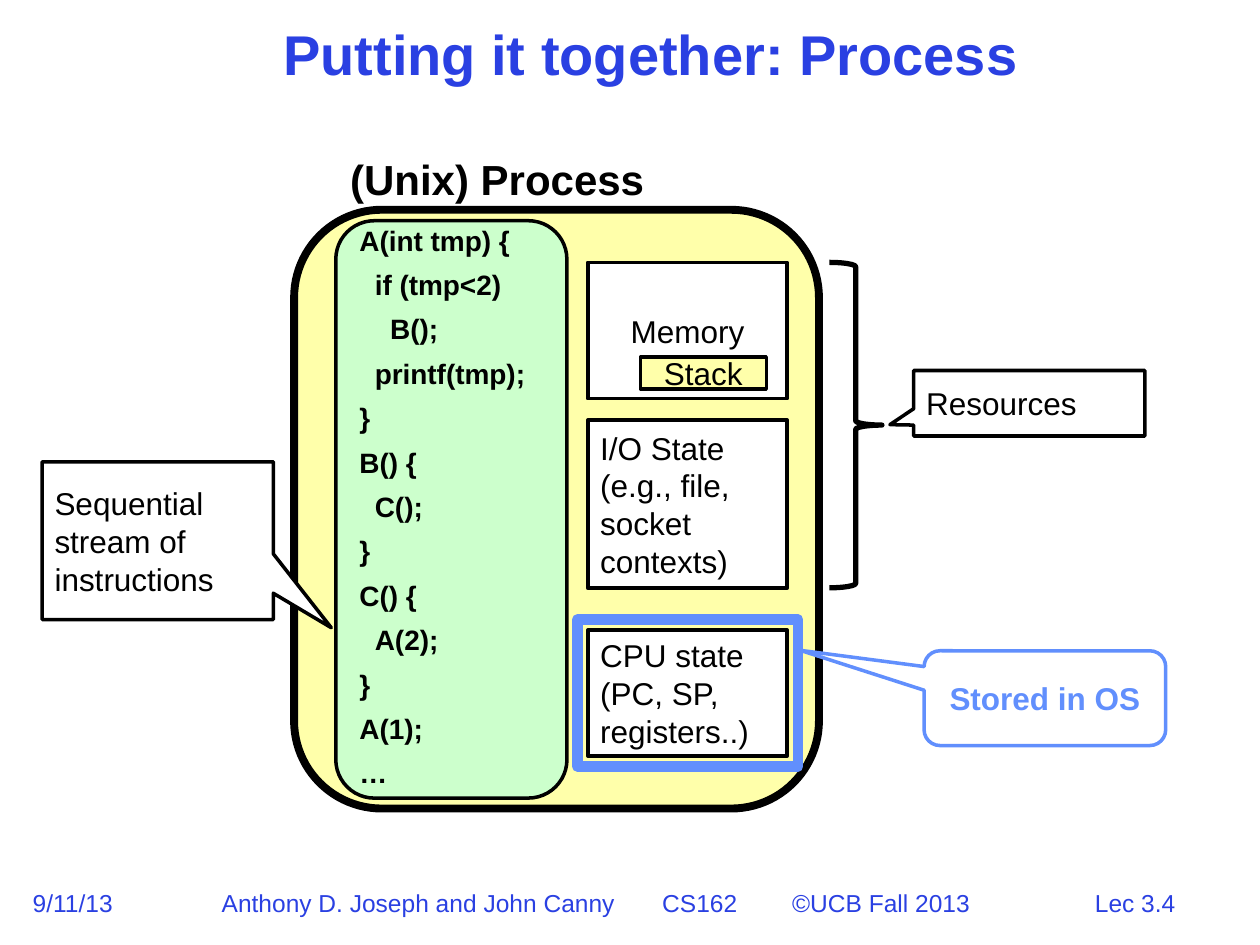
import dataclasses

import lxml.etree
import pptx
import pptx.dml.color
import pptx.enum.shapes
import pptx.enum.text
import pptx.oxml.ns
import pptx.util

Cm, Pt = pptx.util.Cm, pptx.util.Pt
Shape = pptx.enum.shapes.MSO_SHAPE
Align = pptx.enum.text.PP_ALIGN
Anchor = pptx.enum.text.MSO_ANCHOR
rgb = pptx.dml.color.RGBColor.from_string


@dataclasses.dataclass(frozen=True)
class Theme:
    font: str = "Arial"
    heading: str = "2A40E2"
    ink: str = "000000"
    paper: str = "FFFFFF"
    memory: str = "FFFFAA"
    code: str = "CCFFCC"
    kernel: str = "618FFD"
    title_size: int = 32
    subtitle_size: int = 24
    body_size: int = 18
    code_size: int = 16
    footer_size: int = 14


theme = Theme()


def write(frame, lines, size, color=theme.ink, bold=False, align=Align.LEFT):
    """Fill the frame with one formatted paragraph per line."""
    frame.margin_left = frame.margin_right = Cm(0.25)
    frame.margin_top = frame.margin_bottom = Cm(0.13)
    for number, line in enumerate(lines):
        paragraph = frame.add_paragraph() if number else frame.paragraphs[0]
        paragraph.alignment = align
        run = paragraph.add_run()
        run.text = line
        run.font.name = theme.font
        run.font.size = Pt(size)
        run.font.bold = bold
        run.font.color.rgb = rgb(color)


def draw(kind, at, fill=theme.paper, line=theme.ink, width=2, adjust=()):
    """Add a preset shape; at is left, top, width, height in centimetres."""
    shape = slide.shapes.add_shape(kind, *map(Cm, at))
    shape.shadow.inherit = False
    if fill:
        shape.fill.solid()
        shape.fill.fore_color.rgb = rgb(fill)
    else:
        shape.fill.background()
    shape.line.color.rgb = rgb(line)
    shape.line.width = Pt(width)
    for index, value in enumerate(adjust):
        shape.adjustments[index] = value
    shape.text_frame.word_wrap = True
    shape.text_frame.vertical_anchor = Anchor.MIDDLE
    return shape


deck = pptx.Presentation()
deck.slide_width, deck.slide_height = Cm(25.4), Cm(19.05)
slide = deck.slides.add_slide(deck.slide_layouts[5])

# Title
title = slide.shapes.title
title.left, title.top, title.width, title.height = Cm(1.27), Cm(0.43), Cm(23.7), Cm(1.47)
title.text_frame.vertical_anchor = Anchor.MIDDLE
write(title.text_frame, ["Putting it together: Process"], theme.title_size,
      theme.heading, True, Align.CENTER)
title.text_frame.paragraphs[0].line_spacing = 0.9

# Process and its resources
draw(Shape.ROUNDED_RECTANGLE, (5.93, 4.23, 10.58, 12.07), theme.memory,
     width=4.5, adjust=[0.167])
resources = [
    (5.29, 2.75, ["Memory"], Align.CENTER),
    (8.47, 3.39, ["I/O State", "(e.g., file, socket contexts)"], Align.LEFT),
    (12.7, 2.54, ["CPU state (PC, SP, registers..)"], Align.LEFT),
]
for top, height, lines, align in resources:
    resource = draw(Shape.RECTANGLE, (11.85, top, 4.02, height))
    write(resource.text_frame, lines, theme.body_size, align=align)

instructions = draw(Shape.RECTANGULAR_CALLOUT, (0.85, 9.31, 4.66, 3.18),
                    adjust=[0.751, 0.552])
write(instructions.text_frame, ["Sequential stream of instructions"], theme.body_size)

# Program code, with its nesting depth
code_lines = [
    (0, "A(int tmp) {"), (1, "if (tmp<2)"), (2, "B();"), (1, "printf(tmp);"), (0, "}"),
    (0, "B() {"), (1, "C();"), (0, "}"),
    (0, "C() {"), (1, "A(2);"), (0, "}"),
    (0, "A(1);"), (0, "…"),
]
code = draw(Shape.ROUNDED_RECTANGLE, (6.77, 4.45, 4.66, 11.64), theme.code, adjust=[0.167])
write(code.text_frame, [text for _, text in code_lines], theme.code_size, bold=True)
for paragraph, (depth, _) in zip(code.text_frame.paragraphs, code_lines):
    paragraph.line_spacing = 0.8
    paragraph.space_before = Pt(10)
    paragraph._p.get_or_add_pPr().set("marL", str(Cm(0.31 * depth)))

process_label = slide.shapes.add_textbox(Cm(6.81), Cm(2.97), Cm(6.43), Cm(1.27))
process_label.text_frame.word_wrap = False
write(process_label.text_frame, ["(Unix) Process"], theme.subtitle_size, bold=True)

# Brace, callouts and stack
draw(Shape.RIGHT_BRACE, (16.72, 5.29, 1.06, 6.56), width=3, adjust=[0.083, 0.5])
resources_note = draw(Shape.RECTANGULAR_CALLOUT, (18.42, 7.47, 4.66, 1.32),
                      adjust=[-0.603, 0.327])
write(resources_note.text_frame, ["Resources"], theme.body_size)

stack = draw(Shape.RECTANGLE, (12.91, 7.2, 2.54, 0.64), theme.memory)
write(stack.text_frame, ["Stack"], theme.body_size, align=Align.CENTER)

draw(Shape.RECTANGLE, (11.64, 12.49, 4.45, 2.96), None, theme.kernel, 6)
stored = draw(Shape.ROUNDED_RECTANGULAR_CALLOUT, (18.63, 13.12, 4.87, 1.91),
              line=theme.kernel, adjust=[-1.013, -0.505, 0.167])
write(stored.text_frame, ["Stored in OS"], theme.body_size, theme.kernel, True, Align.CENTER)

# Footer, its parts set apart by tab stops
footers = [
    (0.41, 2.16, "9/11/13", Align.LEFT, []),
    (4.22, 15.6, "Anthony D. Joseph and John Canny\tCS162\t©UCB Fall 2013",
     Align.LEFT, [8.88, 11.5]),
    (20.83, 4.11, "Lec 3.4", Align.CENTER, []),
]
for left, width, text, align, stops in footers:
    footer = slide.shapes.add_textbox(Cm(left), Cm(17.78), Cm(width), Cm(0.84))
    footer.text_frame.word_wrap = True
    write(footer.text_frame, [text], theme.footer_size, theme.heading, align=align)
    if stops:
        properties = footer.text_frame.paragraphs[0]._p.get_or_add_pPr()
        tabs = lxml.etree.SubElement(properties, pptx.oxml.ns.qn("a:tabLst"))
        for stop in stops:
            lxml.etree.SubElement(tabs, pptx.oxml.ns.qn("a:tab"), pos=str(Cm(stop)), algn="l")

deck.save("out.pptx")
